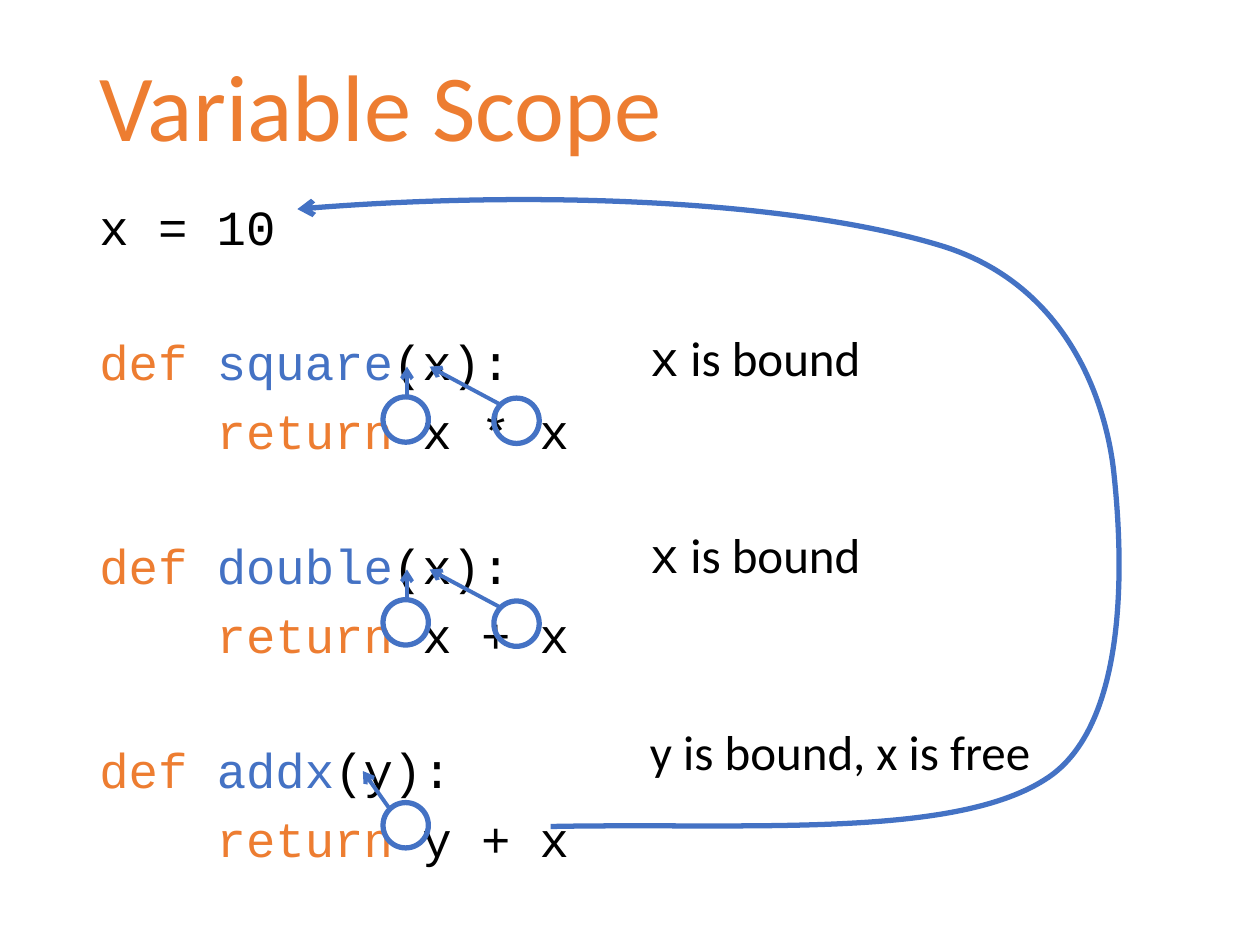
from dataclasses import dataclass

from lxml import etree
from pptx import Presentation
from pptx.dml.color import RGBColor
from pptx.enum.shapes import MSO_CONNECTOR, MSO_SHAPE
from pptx.enum.text import MSO_ANCHOR, MSO_AUTO_SIZE, PP_ALIGN
from pptx.oxml.ns import qn
from pptx.util import Inches, Pt

STRAIGHT = MSO_CONNECTOR.STRAIGHT
OVAL = MSO_SHAPE.OVAL
TOP, MIDDLE = MSO_ANCHOR.TOP, MSO_ANCHOR.MIDDLE
LEFT = PP_ALIGN.LEFT
NO_AUTOFIT = MSO_AUTO_SIZE.NONE

Point = tuple[float, float]


@dataclass(frozen=True)
class Theme:
    orange: RGBColor = RGBColor(0xED, 0x7D, 0x31)
    blue: RGBColor = RGBColor(0x44, 0x72, 0xC4)
    black: RGBColor = RGBColor(0, 0, 0)
    sans: str = "Calibri"
    mono: str = "Courier New"
    title_size: float = 54
    body_size: float = 28
    line_spacing: float = 0.9
    ring_line: float = 3
    arrow_line: float = 2.25


THEME = Theme()


@dataclass(frozen=True)
class Span:
    text: str
    color: RGBColor = THEME.black
    font: str = THEME.mono
    size: float = THEME.body_size


@dataclass(frozen=True)
class Line:
    spans: list[Span]
    space_before: float = 0


@dataclass(frozen=True)
class Binding:
    """Rings around used names, with arrows to the parameter that binds them."""
    rings: list[Point]
    arrows: list[tuple[Point, Point]]


RING_SIZE = 0.36
ROW_PITCH = 1.61
LINE_GAP = 9.2
FUNCTION_GAP = 46.9
NOTE_GAP = 82.4

TWO_USES = Binding([(3.04, 3.15), (3.92, 3.16)],
                   [((3.23, 3.15), (3.23, 2.91)), ((3.97, 3.21), (3.41, 2.91))])
ONE_USE = Binding([(3.04, 3.15)], [((3.1, 3.21), (2.88, 2.9))])
BINDINGS = [TWO_USES, TWO_USES, ONE_USE]

FUNCTIONS = [("square", "x", "x * x"), ("double", "x", "x + x"), ("addx", "y", "y + x")]

FREE_START: Point = (4.37, 6.56)
FREE_CURVES: list[list[Point]] = [
    [(5.91, 6.53), (7.55, 6.66), (8.29, 6.19)],
    [(9.04, 5.73), (8.88, 4.13), (8.84, 3.75)],
    [(8.8, 3.37), (8.58, 2.31), (7.5, 1.96)],
    [(6.42, 1.62), (4.38, 1.49), (2.36, 1.66)],
]


def write_lines(frame, lines: list[Line], anchor=TOP) -> None:
    settings = {"word_wrap": True, "auto_size": NO_AUTOFIT, "vertical_anchor": anchor}
    for name, value in settings.items():
        setattr(frame, name, value)
    for index, line in enumerate(lines):
        para = frame.paragraphs[0] if index == 0 else frame.add_paragraph()
        layout = {"alignment": LEFT, "line_spacing": THEME.line_spacing,
                  "space_before": Pt(line.space_before)}
        for name, value in layout.items():
            setattr(para, name, value)
        for span in line.spans:
            run = para.add_run()
            run.text = span.text
            run.font.name = span.font
            run.font.size = Pt(span.size)
            run.font.color.rgb = span.color


def add_column(page, left: float, top_margin: float, lines: list[Line]) -> None:
    box = page.shapes.add_textbox(Inches(left), Inches(1.48), Inches(4.25), Inches(5.28))
    box.text_frame.margin_top = Inches(top_margin)
    write_lines(box.text_frame, lines)


def code_lines() -> list[Line]:
    lines = [Line([Span("x = 10")])]
    for name, parameter, result in FUNCTIONS:
        lines.append(Line([Span("def ", THEME.orange), Span(name, THEME.blue),
                           Span(f"({parameter}):")], FUNCTION_GAP))
        lines.append(Line([Span("    return ", THEME.orange), Span(result)], LINE_GAP))
    return lines


def note_lines() -> list[Line]:
    bound = [Span("x"), Span(" is bound", font=THEME.sans)]
    free = [Span("y is bound, x is free", font=THEME.sans)]
    return [Line(bound), Line(bound, NOTE_GAP), Line(free, NOTE_GAP)]


def style_line(shape, width: float, arrow: bool = False) -> None:
    shape.line.color.rgb = THEME.blue
    shape.line.width = Pt(width)
    if arrow:
        outline = shape.element.find(".//" + qn("a:ln"))
        etree.SubElement(outline, qn("a:tailEnd"), type="arrow")


def add_binding(page, binding: Binding, drop: float) -> None:
    group = page.shapes.add_group_shape()
    for left, top in binding.rings:
        ring = group.shapes.add_shape(OVAL, Inches(left), Inches(top + drop),
                                      Inches(RING_SIZE), Inches(RING_SIZE))
        ring.shadow.inherit = False
        ring.fill.background()
        style_line(ring, THEME.ring_line)
    for (x1, y1), (x2, y2) in binding.arrows:
        arrow = group.shapes.add_connector(STRAIGHT, Inches(x1), Inches(y1 + drop),
                                           Inches(x2), Inches(y2 + drop))
        style_line(arrow, THEME.arrow_line, arrow=True)
        etree.SubElement(arrow.element.spPr, qn("a:effectLst"))


def add_curved_arrow(page, start: Point, curves: list[list[Point]]) -> None:
    """Outline the anchors with straight lines, then bend each into a Bézier curve."""
    ends = [curve[-1] for curve in curves]
    builder = page.shapes.build_freeform(Inches(start[0]), Inches(start[1]))
    builder.add_line_segments([(Inches(x), Inches(y)) for x, y in ends], close=False)
    shape = builder.convert_to_shape()
    shape.shadow.inherit = False
    shape.fill.background()
    style_line(shape, THEME.ring_line, arrow=True)
    segments = list(shape.element.iter(qn("a:lnTo")))
    for segment, curve in zip(segments, curves):
        bend = etree.Element(qn("a:cubicBezTo"))
        for x, y in curve:
            etree.SubElement(bend, qn("a:pt"), x=str(Inches(x) - shape.left),
                             y=str(Inches(y) - shape.top))
        segment.getparent().replace(segment, bend)


def main() -> None:
    deck = Presentation()
    deck.slide_width, deck.slide_height = Inches(10), Inches(7.5)
    page = deck.slides.add_slide(deck.slide_layouts.get_by_name("Title Only"))

    title = page.shapes.title
    frame = {"left": 0.69, "top": 0.4, "width": 8.62, "height": 0.96}
    for name, value in frame.items():
        setattr(title, name, Inches(value))
    heading = Span("Variable Scope", THEME.orange, THEME.sans, THEME.title_size)
    write_lines(title.text_frame, [Line([heading])], MIDDLE)

    add_column(page, 0.69, 0.13, code_lines())
    add_column(page, 5.06, 1.17, note_lines())
    for row, binding in enumerate(BINDINGS):
        add_binding(page, binding, row * ROW_PITCH)
    add_curved_arrow(page, FREE_START, FREE_CURVES)

    deck.save("out.pptx")


if __name__ == "__main__":
    main()
